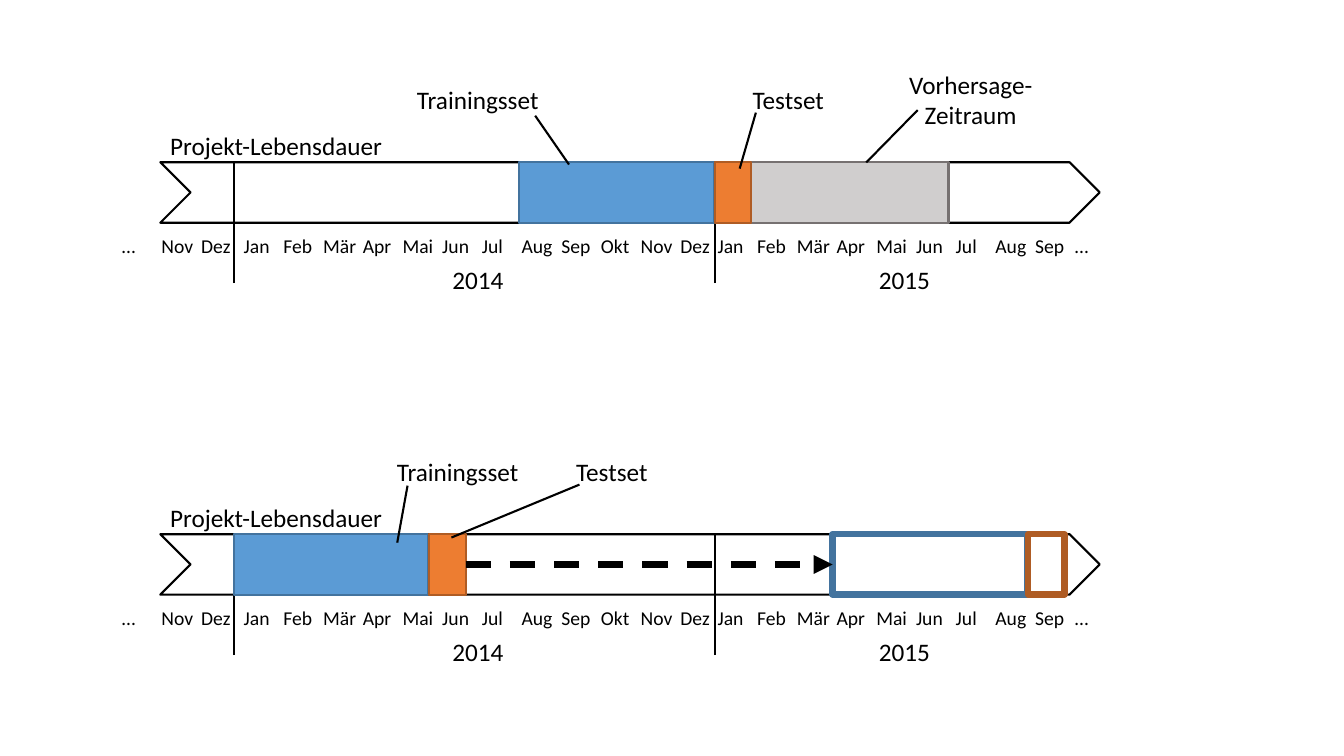
from lxml.etree import SubElement
from pptx import Presentation
from pptx.dml.color import RGBColor
from pptx.enum.dml import MSO_LINE
from pptx.enum.shapes import MSO_CONNECTOR, MSO_SHAPE
from pptx.enum.text import MSO_ANCHOR, MSO_AUTO_SIZE, PP_ALIGN
from pptx.oxml.ns import qn
from pptx.util import Cm, Inches, Pt

BLACK = RGBColor(0x00, 0x00, 0x00)
WHITE = RGBColor(0xFF, 0xFF, 0xFF)
BLUE = RGBColor(0x5B, 0x9B, 0xD5)
BLUE_EDGE = RGBColor(0x43, 0x73, 0x9E)
ORANGE = RGBColor(0xED, 0x7D, 0x31)
ORANGE_EDGE = RGBColor(0xAF, 0x5C, 0x24)
GREY = RGBColor(0xD0, 0xCE, 0xCE)
GREY_EDGE = RGBColor(0x76, 0x71, 0x71)

COLUMNS, ROWS = 133.33, 75
BAR_HEIGHT = 6
START_2014, START_2015 = 23.2, 70.9
TRAINING_WIDTH, TEST_WIDTH = 19.3, 3.6
MONTHS = "Jan Feb Mär Apr Mai Jun Jul Aug Sep Okt Nov Dez".split()


class TimelineSlide:
    font_name = "Calibri"
    label_size = Pt(18)
    month_size = Pt(14)
    thin, thick = Pt(1.5), Pt(4.5)

    def __init__(self, presentation):
        self.slide = presentation.slides.add_slide(presentation.slide_layouts[6])
        self.shapes = self.slide.shapes
        self.column = presentation.slide_width / COLUMNS
        self.row = presentation.slide_height / ROWS

    def place(self, left, top, width, height):
        return [round(left * self.column), round(top * self.row),
                round(width * self.column), round(height * self.row)]

    def set_text(self, shape, text, size):
        paragraph = shape.text_frame.paragraphs[0]
        paragraph.text = text
        paragraph.font.name = self.font_name
        paragraph.font.size = size
        paragraph.font.color.rgb = BLACK
        return paragraph

    def shape(self, kind, box, fill, edge, weight):
        shape = self.shapes.add_shape(kind, *self.place(*box))
        shape.shadow.inherit = False
        if fill is None:
            shape.fill.background()
        else:
            shape.fill.solid()
            shape.fill.fore_color.rgb = fill
        shape.line.color.rgb = edge
        shape.line.width = weight
        return shape

    def bar(self, left, top, width, fill, edge, weight=thin):
        self.shape(MSO_SHAPE.RECTANGLE, (left, top, width, BAR_HEIGHT), fill, edge, weight)

    def callout(self, text, left, top, pointer):
        shape = self.shape(MSO_SHAPE.LINE_CALLOUT_1_NO_BORDER,
                           (left, top, 14.6, 5.1), None, BLACK, self.thin)
        for index, value in enumerate(pointer):
            shape.adjustments[index] = value
        shape.text_frame.word_wrap = True
        shape.text_frame.vertical_anchor = MSO_ANCHOR.MIDDLE
        self.set_text(shape, text, self.label_size).alignment = PP_ALIGN.CENTER

    def label(self, text, left, top, width, height=4, size=label_size):
        shape = self.shapes.add_textbox(*self.place(left, top, width, height))
        shape.text_frame.word_wrap = False
        shape.text_frame.auto_size = MSO_AUTO_SIZE.SHAPE_TO_FIT_TEXT
        return self.set_text(shape, text, size)

    def months(self, names, left, top, width):
        paragraph = self.label("\t".join(names), left, top, width, 3.4, self.month_size)
        run_style = paragraph.font._element
        tabs = SubElement(run_style.getparent(), qn("a:tabLst"))
        run_style.addprevious(tabs)
        for stop in range(1, len(names)):
            SubElement(tabs, qn("a:tab"), pos=str(Cm(stop)), algn="l")

    def line(self, start, end, weight=thin):
        left, top, right, bottom = self.place(*start, *end)
        connector = self.shapes.add_connector(MSO_CONNECTOR.STRAIGHT, left, top, right, bottom)
        connector.line.color.rgb = BLACK
        connector.line.width = weight
        SubElement(connector._element.spPr, qn("a:effectLst"))
        return connector

    def dashed_arrow(self, start, end):
        line = self.line(start, end, self.thick).line
        line.dash_style = MSO_LINE.DASH
        SubElement(line._get_or_add_ln(), qn("a:tailEnd"), type="triangle")

    def timeline(self, top):
        self.shape(MSO_SHAPE.CHEVRON, (15.9, top, 93.2, BAR_HEIGHT), WHITE, BLACK, self.thin)
        self.label("Projekt-Lebensdauer", 15.9, top - 3.7, 23.3)
        self.months(["…"] + MONTHS[-2:], 11.1, top + 6.6, 12.9)
        self.months(MONTHS, START_2014, top + 6.6, 48.5)
        self.months(MONTHS[:9] + ["…"], 70.2, top + 6.65, 39)
        for year, left, divider in (("2014", 43.9, START_2014), ("2015", 86.2, START_2015)):
            self.label(year, left, top + 9.65, 7.1)
            self.line((divider, top + 12), (divider, top))

    def sets(self, left, top, filled=True):
        weight = self.thin if filled else self.thick
        self.bar(left, top, TRAINING_WIDTH, BLUE if filled else None, BLUE_EDGE, weight)
        self.bar(left + TRAINING_WIDTH + 0.1, top, TEST_WIDTH,
                 ORANGE if filled else None, ORANGE_EDGE, weight)


presentation = Presentation()
presentation.slide_width, presentation.slide_height = Inches(13.33), Inches(7.5)
page = TimelineSlide(presentation)

upper, lower = 16.1, 53

page.timeline(upper)
page.bar(START_2015, upper, 23.2, GREY, GREY_EDGE)
page.sets(51.5, upper)
page.callout("Trainingsset", 40.1, upper - 8.8, (0.82, 0.89, 1.77, 1.12))
page.callout("Testset", 70.9, upper - 8.8, (0.76, 0.28, 1.85, 0.17))
page.callout("Vorhersage-Zeitraum", 89, upper - 8.8, (0.71, 0.14, 1.73, -0.21))

page.timeline(lower)
page.sets(START_2014, lower)
page.sets(82.6, lower, filled=False)
page.callout("Trainingsset", 38.1, lower - 8.8, (0.78, 0.16, 1.89, 0.09))
page.callout("Testset", 53.4, lower - 8.8, (0.76, 0.28, 1.79, -0.59))
page.dashed_arrow((46.2, lower + BAR_HEIGHT / 2), (82.6, lower + BAR_HEIGHT / 2))

presentation.save("out.pptx")
